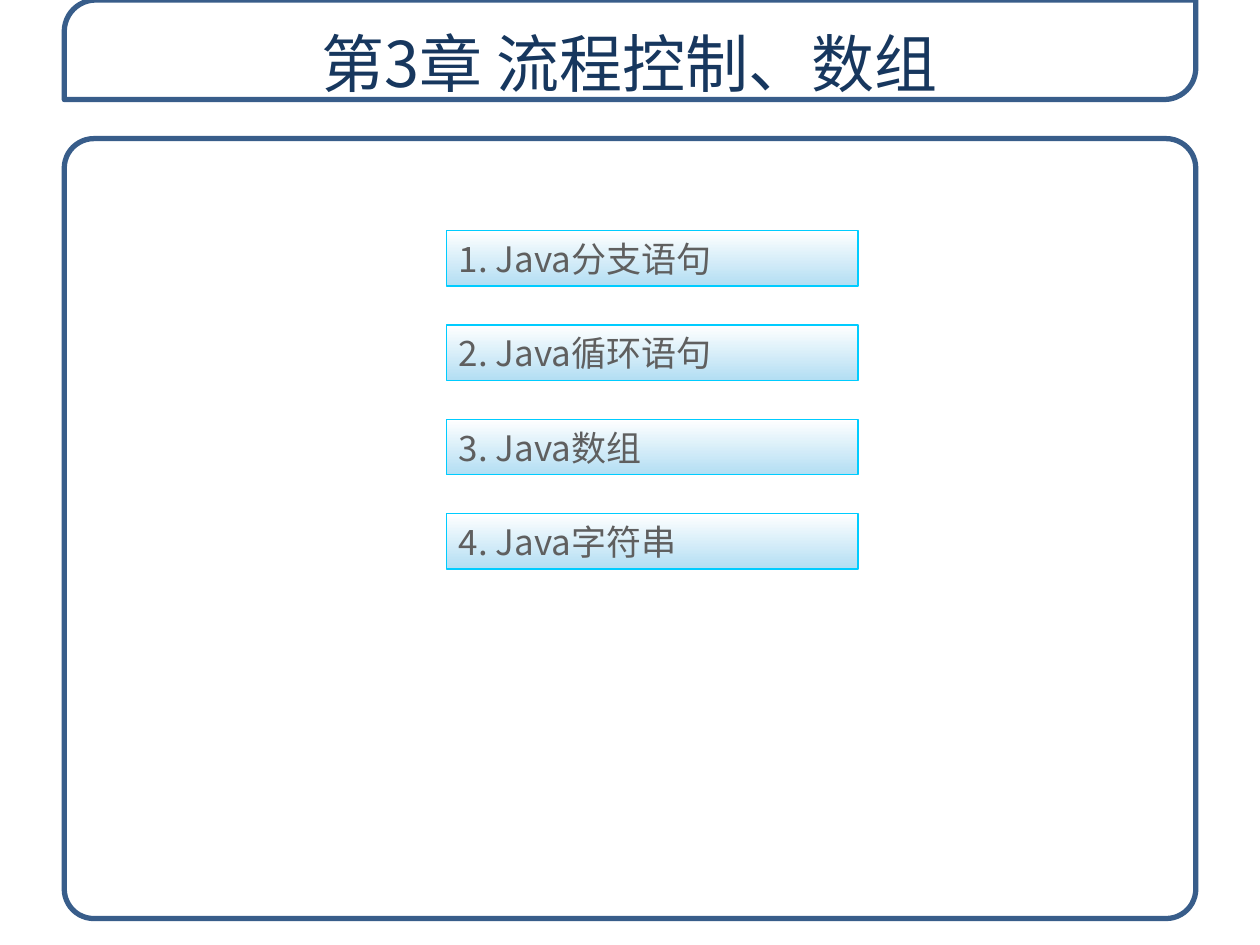
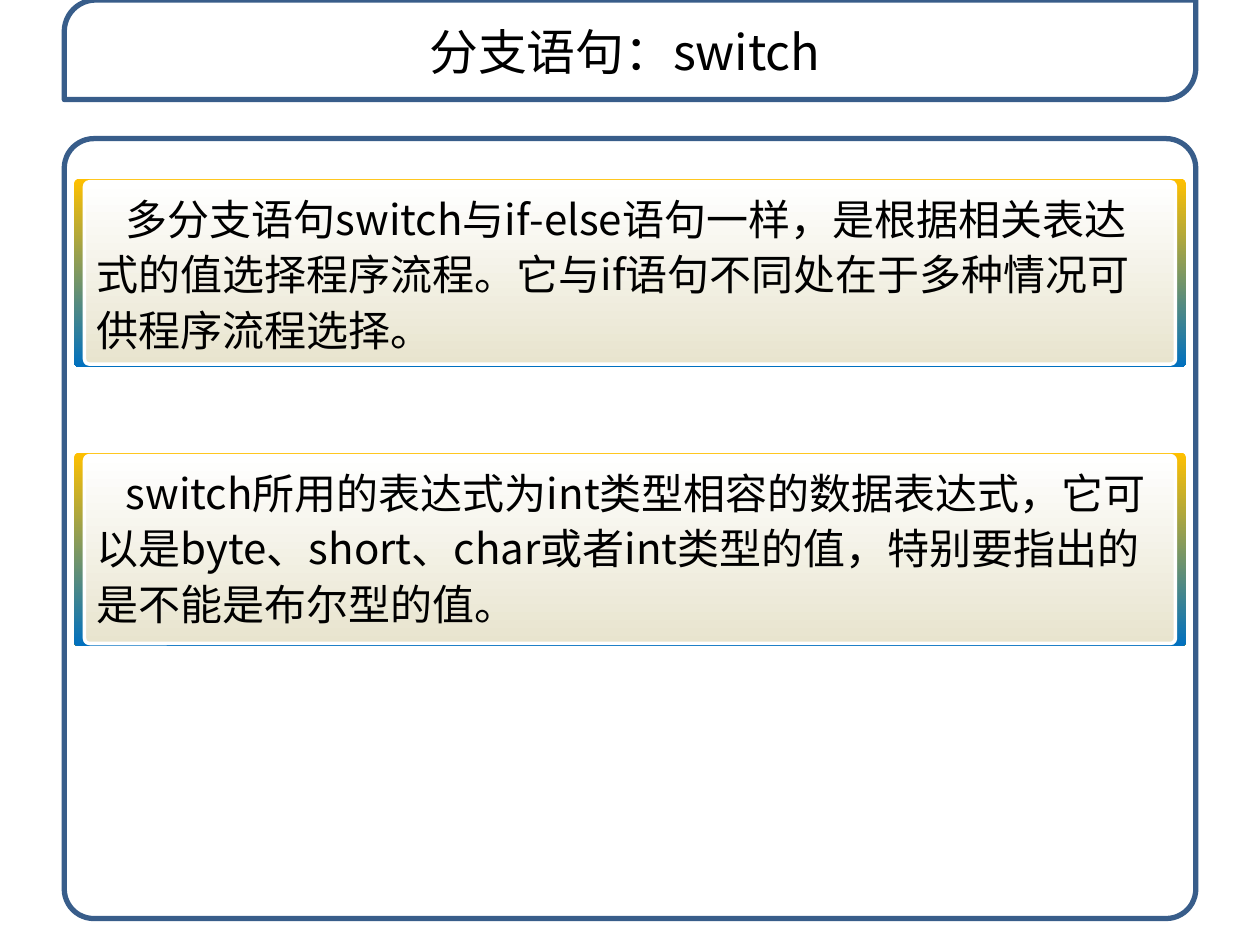
"""Build the chapter 3 agenda and the switch statement slide."""
from lxml.etree import SubElement
from pptx import Presentation
from pptx.dml.color import RGBColor
from pptx.enum.shapes import MSO_SHAPE
from pptx.enum.text import MSO_ANCHOR, PP_ALIGN
from pptx.oxml.ns import qn
from pptx.util import Pt

AGENDA_TITLE = "第3章 流程控制、数组"
AGENDA = ["Java分支语句", "Java循环语句", "Java数组", "Java字符串"]

SWITCH_TITLE = "分支语句：switch"
CARDS = [
    (102.2, 107.6, "多分支语句switch与if-else语句一样，是根据相关表达式的值选择程序流程。"
                   "它与if语句不同处在于多种情况可供程序流程选择。"),
    (258.6, 110.8, "switch所用的表达式为int类型相容的数据表达式，它可以是byte、short、char"
                   "或者int类型的值，特别要指出的是不能是布尔型的值。"),
]

FONT = "Noto Sans CJK SC"
WHITE = RGBColor(0xFF, 0xFF, 0xFF)
BLACK = RGBColor(0, 0, 0)
NAVY = RGBColor(0x17, 0x37, 0x5E)
FRAME_BLUE = RGBColor(0x38, 0x5D, 0x8A)
GREY = RGBColor(0x5F, 0x5F, 0x5F)
SKY = RGBColor(0xB3, 0xDE, 0xF3)
CYAN = RGBColor(0x00, 0xCC, 0xFF)
GOLD = RGBColor(0xFF, 0xC0, 0x00)
BLUE = RGBColor(0x00, 0x70, 0xC0)
SAND = RGBColor(0xE8, 0xE4, 0xCE)

FRAME_X, FRAME_W = 36.7, 646.6
ITEM_X, ITEM_Y, ITEM_W, ITEM_H, ITEM_STEP = 255, 131.8, 235.4, 31.7, 53.9
CARD_X, CARD_W = 42.5, 635
INSET_X, INSET_Y = 5.8, 1.7

TITLE_FRAME = {"margin_top": 0, "margin_bottom": Pt(7.6), "vertical_anchor": MSO_ANCHOR.BOTTOM}
CARD_FRAME = {"margin_top": Pt(2.9), "margin_left": Pt(6.2), "margin_right": Pt(8.2),
              "vertical_anchor": MSO_ANCHOR.TOP}


def add_box(s, kind, box, colors, line=None, adj=()):
    """Add a shape with a solid or top-to-bottom gradient fill."""
    sp = s.shapes.add_shape(kind, *map(Pt, box))
    sp.shadow.inherit = False
    for i, value in enumerate(adj):
        sp.adjustments[i] = value
    if len(colors) == 1:
        sp.fill.solid()
        sp.fill.fore_color.rgb = colors[0]
    else:
        sp.fill.gradient()
        sp.fill.gradient_angle = 270
        for i, (stop, color) in enumerate(zip(sp.fill.gradient_stops, colors)):
            stop.position = i
            stop.color.rgb = color
    if line:
        sp.line.color.rgb, sp.line.width = line[0], Pt(line[1])
    else:
        sp.line.fill.background()
    return sp


def write(sp, text, size, color, frame=None, para=None):
    """Write one paragraph into a shape."""
    tf = sp.text_frame
    p = tf.paragraphs[0]
    formats = {"word_wrap": True, "vertical_anchor": MSO_ANCHOR.MIDDLE, **(frame or {})}
    for target, values in ((tf, formats), (p, {"alignment": PP_ALIGN.LEFT, **(para or {})})):
        for name, value in values.items():
            setattr(target, name, value)
    r = p.add_run()
    r.text = text
    r.font.size, r.font.name, r.font.color.rgb = Pt(size), FONT, color
    SubElement(r.font._element, qn("a:ea"), typeface=FONT)
    return p


def add_slide(prs, title, box, size, color):
    """Add a slide with the shared frames and its title."""
    s = prs.slides.add_slide(prs.slide_layouts[6])
    line = (FRAME_BLUE, 3)
    add_box(s, MSO_SHAPE.ROUNDED_RECTANGLE, (FRAME_X, 79.2, FRAME_W, 445.7), [WHITE], line, [0.038])
    add_box(s, MSO_SHAPE.ROUND_2_DIAG_RECTANGLE, (FRAME_X, 0, FRAME_W, 56.9), [WHITE], line, [0.317, 0])
    write(s.shapes.add_textbox(*map(Pt, box)), title, size, color,
          TITLE_FRAME, {"alignment": PP_ALIGN.CENTER})
    return s


def build_agenda(prs):
    """Lay out the numbered agenda."""
    s = add_slide(prs, AGENDA_TITLE, (FRAME_X, 10.1, 645.8, 54.7), 36, NAVY)
    for i, topic in enumerate(AGENDA):
        box = (ITEM_X, ITEM_Y + i * ITEM_STEP, ITEM_W, ITEM_H)
        sp = add_box(s, MSO_SHAPE.RECTANGLE, box, [WHITE, SKY], (CYAN, 0.75))
        write(sp, f"{i + 1}. {topic}", 20, GREY)


def build_switch(prs):
    """Lay out the two explanation cards."""
    s = add_slide(prs, SWITCH_TITLE, (CARD_X, 10.2, 629.3, 43.2), 27.9, BLACK)
    for y, h, text in CARDS:
        add_box(s, MSO_SHAPE.ROUNDED_RECTANGLE, (CARD_X, y, CARD_W, h), [GOLD, BLUE], adj=[0.024])
        inner = (CARD_X + INSET_X, y + INSET_Y, CARD_W - 2 * INSET_X, h - 2 * INSET_Y)
        sp = add_box(s, MSO_SHAPE.ROUNDED_RECTANGLE, inner, [WHITE, SAND], (WHITE, 2), [0.027])
        p = write(sp, text, 24, BLACK, CARD_FRAME, {"line_spacing": Pt(31.7)})
        p._p.get_or_add_pPr().set("indent", str(Pt(16.6)))


def main():
    """Build and save the slides."""
    prs = Presentation()
    prs.slide_width, prs.slide_height = Pt(720), Pt(540)
    build_agenda(prs)
    build_switch(prs)
    prs.save("out.pptx")


if __name__ == "__main__":
    main()
